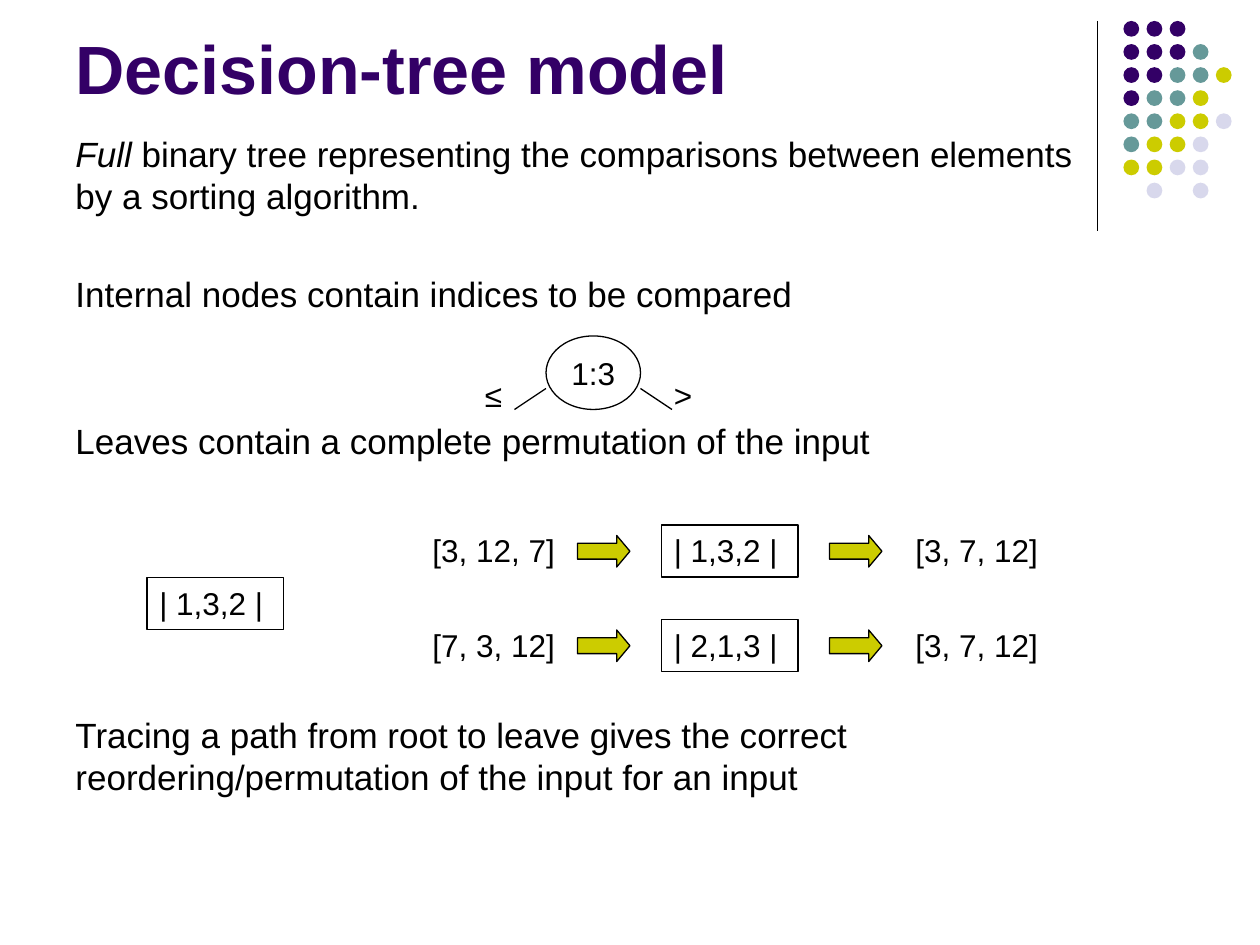
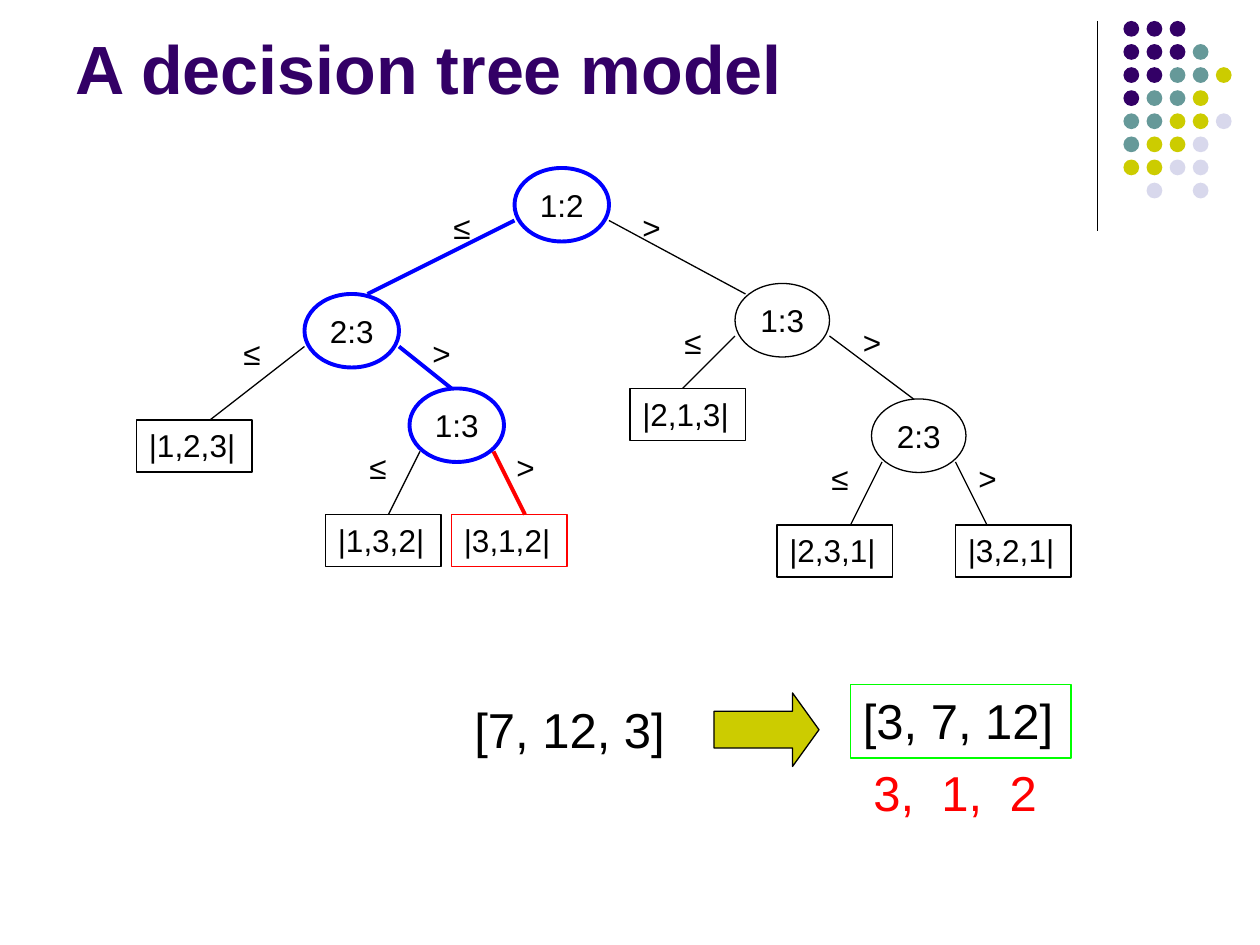
from lxml import etree
from pptx import Presentation
from pptx.dml.color import RGBColor
from pptx.enum.shapes import MSO_CONNECTOR, MSO_SHAPE
from pptx.enum.text import MSO_ANCHOR, PP_ALIGN
from pptx.oxml.ns import qn
from pptx.util import Cm, Pt

LEFT, CENTER = PP_ALIGN.LEFT, PP_ALIGN.CENTER
TOP, MIDDLE, BOTTOM = MSO_ANCHOR.TOP, MSO_ANCHOR.MIDDLE, MSO_ANCHOR.BOTTOM
OVAL, RECT, ARROW = MSO_SHAPE.OVAL, MSO_SHAPE.RECTANGLE, MSO_SHAPE.RIGHT_ARROW
STRAIGHT = MSO_CONNECTOR.STRAIGHT
TITLE_ONLY = 5

FONT = "Arial"
BLACK, BLUE, RED, GREEN = "000000", "0000FF", "FF0000", "00FF00"
PURPLE, YELLOW = "330066", "CCCC00"
DOT_COLORS = {"P": PURPLE, "T": "669999", "Y": YELLOW, "L": "D8D8EC"}
DOT_ROWS = ["PPP", "PPPT", "PPTTY", "PTTY", "TTYYL", "TYYL", "YYLL", " L L"]
THIN, THICK = 0.75, 2.25
NODE_W, NODE_H, LEAF_H = 9, 7, 4.95


def color(hex_string):
    return RGBColor.from_string(hex_string)


def grid(n):
    """Length of n grid steps; twelve steps are 2.54 cm."""
    return Cm(2.54 * n / 12)


class Deck:
    def __init__(self):
        self.prs = Presentation()
        self.prs.slide_width, self.prs.slide_height = grid(120), grid(90)
        self.s = None

    def new_slide(self, title):
        self.s = self.prs.slides.add_slide(self.prs.slide_layouts[TITLE_ONLY])
        sp = self.s.shapes.title
        sp.left, sp.top, sp.width, sp.height = grid(6), Cm(0.33), grid(99), Cm(1.98)
        self.set_text(sp, title, 39, PURPLE, anchor=BOTTOM)
        sp.text_frame.paragraphs[0].font.bold = True
        self.line(104.5, 2, 104.5, 22)
        self.dots()

    def dots(self):
        for row, codes in enumerate(DOT_ROWS):
            for col, code in enumerate(codes):
                if code in DOT_COLORS:
                    self.shape(OVAL, 107 + 2.2 * col, 2 + 2.2 * row, 1.5, 1.5,
                               fill=DOT_COLORS[code], line=None)

    def set_text(self, sp, text, size=18, ink=BLACK, align=LEFT, anchor=TOP):
        tf = sp.text_frame
        tf.word_wrap = True
        tf.vertical_anchor = anchor
        p = tf.paragraphs[0]
        p.text = text
        p.alignment = align
        self.style(p, size, ink)

    def style(self, p, size, ink=BLACK):
        p.font.name, p.font.size = FONT, Pt(size)
        p.font.color.rgb = color(ink)

    def shape(self, kind, x, y, w, h, fill=None, line=BLACK, weight=THIN):
        sp = self.s.shapes.add_shape(kind, grid(x), grid(y), grid(w), grid(h))
        sp.shadow.inherit = False
        if fill:
            sp.fill.solid()
            sp.fill.fore_color.rgb = color(fill)
        else:
            sp.fill.background()
        if line:
            sp.line.color.rgb = color(line)
            sp.line.width = Pt(weight)
        else:
            sp.line.fill.background()
        return sp

    def line(self, x1, y1, x2, y2, ink=BLACK):
        cx = self.s.shapes.add_connector(STRAIGHT, grid(x1), grid(y1), grid(x2), grid(y2))
        cx.line.color.rgb = color(ink)
        cx.line.width = Pt(THIN if ink == BLACK else THICK)
        etree.SubElement(cx._element.spPr, qn("a:effectLst"))

    def text(self, x, y, w, text, size=18, ink=BLACK):
        sp = self.s.shapes.add_textbox(grid(x), grid(y), grid(w), grid(size * 0.27))
        self.set_text(sp, text, size, ink)
        return sp

    def box(self, x, y, w, text, size=18, h=LEAF_H, line=BLACK):
        self.set_text(self.shape(RECT, x, y, w, h, line=line), text, size)

    def arrow(self, x, y, w, h, head):
        sp = self.shape(ARROW, x, y, w, h, fill=YELLOW)
        sp.adjustments[0], sp.adjustments[1] = 0.5, head

    def node(self, x, y, text, left_end, right_end, inks=(BLACK, BLACK, BLACK),
             low=False, label_gap=7):
        """Comparison node with its two branches; inks: outline, left, right."""
        outline, left_ink, right_ink = inks
        sp = self.shape(OVAL, x, y, NODE_W, NODE_H, line=outline,
                        weight=THIN if outline == BLACK else THICK)
        self.set_text(sp, text, align=CENTER, anchor=MIDDLE)
        tf = sp.text_frame
        tf.margin_left = tf.margin_right = tf.margin_top = tf.margin_bottom = 0
        inset, drop = (1, 6) if low else (0, 5)
        self.line(x + inset, y + drop, *left_end, left_ink)
        self.line(x + NODE_W - inset, y + drop, *right_end, right_ink)
        label_y = y + (5.1 if low else 3.2)
        self.text(x - label_gap, label_y, 5, "≤")
        self.text(x + (9 if low else 11), label_y, 5, ">")

    def body(self, paragraphs):
        """Body text from (space before in points, italic lead, text) rows."""
        tf = self.s.shapes.add_textbox(grid(6), grid(12), grid(98), grid(75)).text_frame
        tf.word_wrap = True
        for i, (space, lead, text) in enumerate(paragraphs):
            p = tf.add_paragraph() if i else tf.paragraphs[0]
            p.space_before, p.line_spacing = Pt(space), Pt(24)
            self.style(p, 20)
            if lead:
                r = p.add_run()
                r.text, r.font.italic = lead, True
            p.add_run().text = text


def model_slide(deck):
    deck.new_slide("Decision-tree model")
    deck.body([
        (0, "Full", " binary tree representing the comparisons between elements "
                    "by a sorting algorithm."),
        (32, "", "Internal nodes contain indices to be compared"),
        (60, "", "Leaves contain a complete permutation of the input"),
        (144, "", "Tracing a path from root to leave gives the correct "
                  "reordering/permutation of the input for an input"),
    ])
    deck.node(52, 32, "1:3", (49, 39), (64, 39))
    deck.box(14, 55, 13, "| 1,3,2 |")
    for y, given, leaf in [(50, "[3, 12, 7]", "| 1,3,2 |"),
                           (59, "[7, 3, 12]", "| 2,1,3 |")]:
        deck.text(40, y, 18, given)
        deck.box(63, y, 13, leaf)
        deck.text(86, y, 18, "[3, 7, 12]")
        for x in (55, 79):
            deck.arrow(x, y + 1, 5, 3, 0.42)


def tree_slide(deck):
    deck.new_slide("A decision tree model")
    deck.node(49, 16, "1:2", (35, 28), (71, 28), (BLUE, BLUE, BLACK))
    deck.node(29, 28, "2:3", (20, 40), (43, 37), (BLUE, BLACK, BLUE))
    deck.node(70, 27, "1:3", (65, 37), (87, 38), label_gap=6)
    deck.node(39, 37, "1:3", (37, 49), (50, 49), (BLUE, BLACK, RED),
              low=True, label_gap=5)
    deck.node(83, 38, "2:3", (81, 50), (94, 50), low=True, label_gap=5)
    for x, y, leaf, line in [(13, 40, "|1,2,3|", BLACK), (31, 49, "|1,3,2|", BLACK),
                             (43, 49, "|3,1,2|", RED), (74, 50, "|2,3,1|", BLACK),
                             (91, 50, "|3,2,1|", BLACK), (60, 37, "|2,1,3|", BLACK)]:
        deck.box(x, y, 11, leaf, line=line)

    deck.text(44, 66, 21, "[7, 12, 3]", 28)
    deck.arrow(68, 66, 10, 7, 0.36)
    deck.box(81, 65.2, 21, "[3, 7, 12]", 28, h=7, line=GREEN)
    p = deck.text(82, 72, 21, "", 28, RED).text_frame.paragraphs[0]
    for part in ("3,", " ", "1,", " ", "2"):
        r = p.add_run()
        r.text = part
        if part == " ":
            r._r.get_or_add_rPr().set("spc", "780")  # widens the gap


def main():
    deck = Deck()
    model_slide(deck)
    tree_slide(deck)
    deck.prs.save("out.pptx")


if __name__ == "__main__":
    main()
